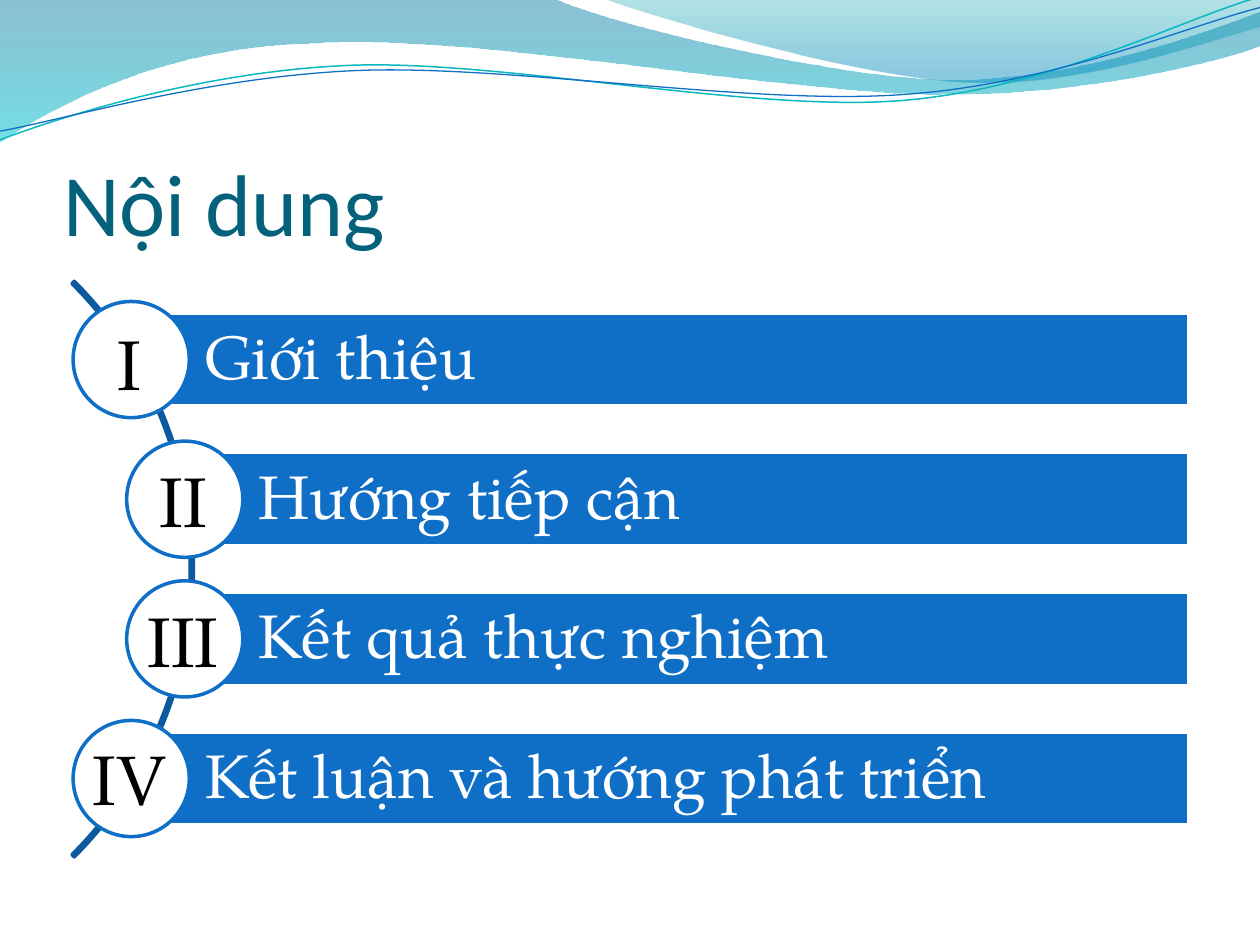
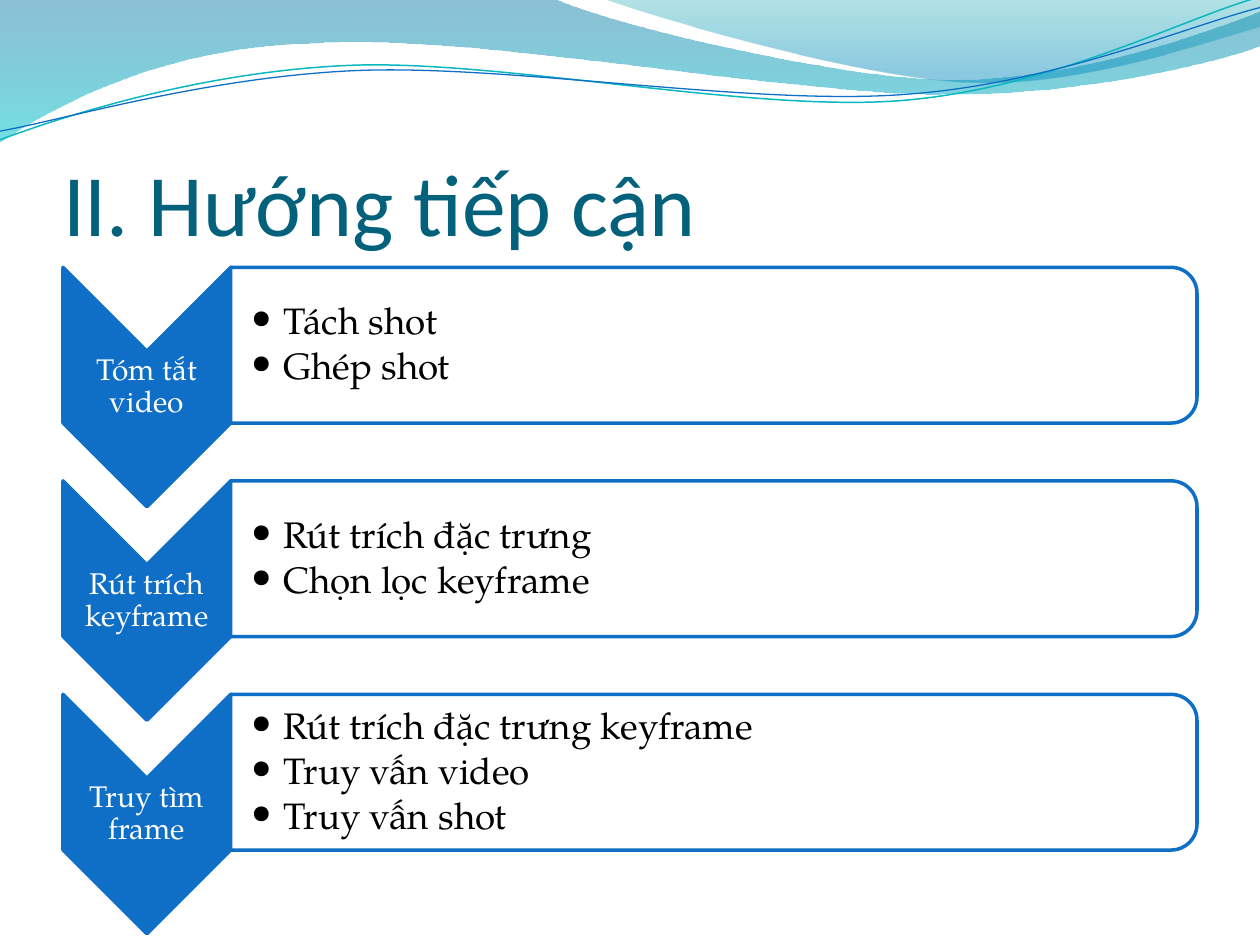
from lxml.etree import SubElement
from pptx import Presentation
from pptx.dml.color import RGBColor
from pptx.enum.shapes import MSO_SHAPE as SHAPE
from pptx.enum.text import MSO_ANCHOR as ANCHOR, MSO_AUTO_SIZE as AUTO, PP_ALIGN as ALIGN
from pptx.oxml.ns import qn
from pptx.util import Pt

COLORS = {
    "white": "FFFFFF", "black": "000000", "title": "04617B",
    "blue": "0F6FC6", "arc": "0C599F", "teal": "0AB8BF",
    "sea": "0074A1", "aqua": "00C6CF", "mint": "00A1A9", "sky": "008BBF",
}
BODY_FONT = "TeX Gyre Pagella"
TITLE_FONT = "Calibri"
LINE_W = 2

# Wave outlines: a pair is a straight step, a triple of pairs a cubic curve
BIG_WAVE = [
    (0, 0), (316.8, -0.7),
    ((342.7, 12.2), (478.1, 45.4), (545.8, 45.4)),
    ((614.2, 45.4), (689.8, 18.7), (720, 6.5)),
    (720.7, 25.9),
    ((707.8, 31.7), (626.4, 54.7), (537.1, 54)),
    ((447.8, 54), (275, 20.2), (185, 24.5)),
    ((92.9, 25.9), (33.1, 59.8), (-0.7, 81.4)),
    (0, 0),
]
RIGHT_WAVE = [
    (344.9, -0.7),
    ((366.5, 7.9), (491, 44.6), (553.7, 46.8)),
    ((616.3, 49.7), (691.9, 23), (720, 15.1)),
    (720, 0), (344.9, -0.7),
]
TEAL_LINE = [
    (0, 79.9),
    ((34.6, 67), (113.8, 41), (199.4, 37.4)),
    ((284.4, 33.8), (427, 64.1), (513.4, 57.6)),
    ((599.8, 51.1), (675.4, 10.8), (718.6, -1.4)),
]
BLUE_LINE = [
    (0, 74.9),
    ((33.8, 69.1), (118.1, 43.9), (203.8, 40.3)),
    ((290.2, 36.7), (429.8, 60.5), (516.2, 54)),
    ((601.9, 48.2), (677.5, 15.1), (720, 4.3)),
]
# Gradient stops: position, colour, opacity in percent
WAVES = [
    (BIG_WAVE, [(0, "sea", 45), (1, "aqua", 55)]),
    (RIGHT_WAVE, [(0, "mint", 30), (0.8, "sky", 45)]),
]
WAVE_LINES = [(TEAL_LINE, "teal", 0.85), (BLUE_LINE, "blue", 0.75)]

# Number, topic, indent of the bar, drop of the number below the bar's top
TOPICS = [
    ("I", "Giới thiệu", 33, 0.7),
    ("II", "Hướng tiếp cận", 63.6, -0.8),
    ("III", "Kết quả thực nghiệm", 63.6, -0.8),
    ("IV", "Kết luận và hướng phát triển", 33, -1.4),
]
STEPS = [
    ("Tóm tắt video", ["Tách shot", "Ghép shot"]),
    ("Rút trích keyframe", ["Rút trích đặc trưng", "Chọn lọc keyframe"]),
    ("Truy tìm frame", ["Rút trích đặc trưng keyframe", "Truy vấn video", "Truy vấn shot"]),
]


def rgb(name):
    return RGBColor.from_string(COLORS[name])


def set_attrs(obj, fmt):
    for name, value in fmt.items():
        setattr(obj, name, value)


def paint(sp, fill=None, line=None, width=LINE_W):
    """Set fill and outline; None means there is none."""
    sp.shadow.inherit = False
    for part, color in ((sp.fill, fill), (sp.line.fill, line)):
        if color:
            part.solid()
            part.fore_color.rgb = rgb(color)
        else:
            part.background()
    if line:
        sp.line.width = Pt(width)
    return sp


def write(sp, lines, size, color, font=BODY_FONT, insets=(0, 0, 0, 0),
          anchor=ANCHOR.MIDDLE, bullet=False, **para):
    """Fill a shape with one paragraph per line."""
    tf = sp.text_frame
    sides = ("margin_left", "margin_top", "margin_right", "margin_bottom")
    set_attrs(tf, dict(zip(sides, map(Pt, insets))))
    set_attrs(tf, {"word_wrap": True, "auto_size": AUTO.NONE, "vertical_anchor": anchor})
    for i, line in enumerate(lines):
        p = tf.paragraphs[0] if i == 0 else tf.add_paragraph()
        set_attrs(p, {"alignment": ALIGN.LEFT, **para})
        if bullet:
            pPr = p._p.get_or_add_pPr()
            pPr.set("marL", str(Pt(18)))
            pPr.set("indent", str(Pt(-18)))
            SubElement(pPr, qn("a:buFont"), typeface=font)
            SubElement(pPr, qn("a:buChar"), char="•")
        r = p.add_run()
        r.text = line
        set_attrs(r.font, {"name": font, "size": Pt(size)})
        r.font.color.rgb = rgb(color)


def add_shape(slide, kind, x, y, w, h):
    return slide.shapes.add_shape(kind, Pt(x), Pt(y), Pt(w), Pt(h))


def add_turned(slide, kind, x, y, w, h):
    """Add a shape turned by 90 degrees that covers the given box."""
    sp = add_shape(slide, kind, x + (w - h) / 2, y + (h - w) / 2, h, w)
    sp.rotation = 90
    return sp


def add_text(slide, x, y, w, h, lines, size, color, **fmt):
    sp = slide.shapes.add_textbox(Pt(x), Pt(y), Pt(w), Pt(h))
    write(sp, lines, size, color, **fmt)


def add_outline(slide, outline):
    """Build a freeform, then join the three steps of each curve into a cubic."""
    steps = [part if isinstance(part[0], tuple) else (part,) for part in outline]
    points = [(Pt(x), Pt(y)) for step in steps for x, y in step]
    closed = outline[0] == outline[-1]
    fb = slide.shapes.build_freeform(*points[0])
    fb.add_line_segments(points[1:], close=closed)
    sp = fb.convert_to_shape()
    lines = iter(list(sp._element.iter(qn("a:lnTo"))))
    for step in steps[1:]:
        first, *rest = [next(lines) for _ in step]
        if rest:
            curve = first.makeelement(qn("a:cubicBezTo"))
            first.addprevious(curve)
            for line in (first, *rest):
                curve.append(line[0])
                line.getparent().remove(line)
    return sp


def add_band(slide):
    """Draw the wave band and move it to the layout that all slides share."""
    parts = []
    for outline, stops in WAVES:
        sp = paint(add_outline(slide, outline))
        sp.fill.gradient()
        sp.fill.gradient_angle = 270
        for stop, (pos, color, _) in zip(sp.fill.gradient_stops, stops):
            stop.position = pos
            stop.color.rgb = rgb(color)
        for clr, (_, _, opacity) in zip(sp._element.iter(qn("a:srgbClr")), stops):
            SubElement(clr, qn("a:alpha"), val=str(opacity * 1000))
        parts.append(sp)
    for outline, color, width in WAVE_LINES:
        parts.append(paint(add_outline(slide, outline), line=color, width=width))
    tree = slide.slide_layout.shapes._spTree
    for i, sp in enumerate(parts):
        tree.insert(2 + i, sp._element)


def add_slide(prs, title):
    slide = prs.slides.add_slide(prs.slide_layouts[5])
    sp = slide.shapes.title
    set_attrs(sp, {"left": Pt(36), "top": Pt(55.4), "width": Pt(648), "height": Pt(90)})
    write(sp, [title], 50, "title", font=TITLE_FONT, insets=(0, 3.6, 0, 0),
          anchor=ANCHOR.BOTTOM)
    return slide


def add_agenda(slide, x, y, w, h):
    """Numbered bars along an arc."""
    bar_h, circle, pitch = 53.2, 66.4, 79.8
    # Arc
    size = 465.2
    arc = add_shape(slide, SHAPE.BLOCK_ARC, x - 396.6, y + (h - size) / 2, size, size)
    for i, value in enumerate((189, 27, 0.004)):
        arc.adjustments[i] = value
    paint(arc, line="arc")
    # Bars and circles
    top = y + (h - 3 * pitch - bar_h) / 2
    for i, (number, topic, indent, drop) in enumerate(TOPICS):
        bar_x, bar_y = x + indent, top + i * pitch
        bar = add_shape(slide, SHAPE.RECTANGLE, bar_x, bar_y, w - indent, bar_h)
        paint(bar, "blue", "white")
        write(bar, [topic], 35, "white", insets=(42.2, 7, 7, 7), line_spacing=0.9)
        dot = add_shape(slide, SHAPE.OVAL, bar_x - circle / 2,
                        bar_y + (bar_h - circle) / 2, circle, circle)
        paint(dot, "white", "blue")
        # Number
        add_text(slide, bar_x - 31, bar_y + drop, 60, 55.4, [number], 40, "black",
                 insets=(7.2, 3.6, 7.2, 3.6), anchor=ANCHOR.TOP, alignment=ALIGN.CENTER)


def add_steps(slide, x, y, w):
    """Chevrons pointing down, each with a box of bullets."""
    pitch, arrow_w, arrow_h, box_h = 122, 95.8, 136.8, 89
    for i, (step, items) in enumerate(STEPS):
        top = y + i * pitch
        # Chevron and its label
        paint(add_turned(slide, SHAPE.CHEVRON, x, top, arrow_w, arrow_h), "blue", "blue")
        add_text(slide, x, top + arrow_h / 2 - 20.5, arrow_w, 41, [step], 17, "white",
                 insets=(0.8,) * 4, alignment=ALIGN.CENTER, line_spacing=0.9)
        # Box and its bullets
        box = (x + arrow_w, top, w - arrow_w, box_h)
        paint(add_turned(slide, SHAPE.ROUND_2_SAME_RECTANGLE, *box), "white", "blue")
        add_text(slide, x + arrow_w, top + 4.3, w - arrow_w - 4.3, box_h - 8.6, items,
                 21, "black", insets=(12, 0.8, 0.8, 0.8), bullet=True,
                 line_spacing=0.9, space_after=Pt(3))


def main():
    prs = Presentation()
    prs.slide_width, prs.slide_height = Pt(720), Pt(540)
    agenda = add_slide(prs, "Nội dung")
    add_band(agenda)
    add_agenda(agenda, 42, 160, 637.3, 330.4)
    approach = add_slide(prs, "II. Hướng tiếp cận")
    add_steps(approach, 36, 152.8, 648)
    prs.save("out.pptx")


if __name__ == "__main__":
    main()
